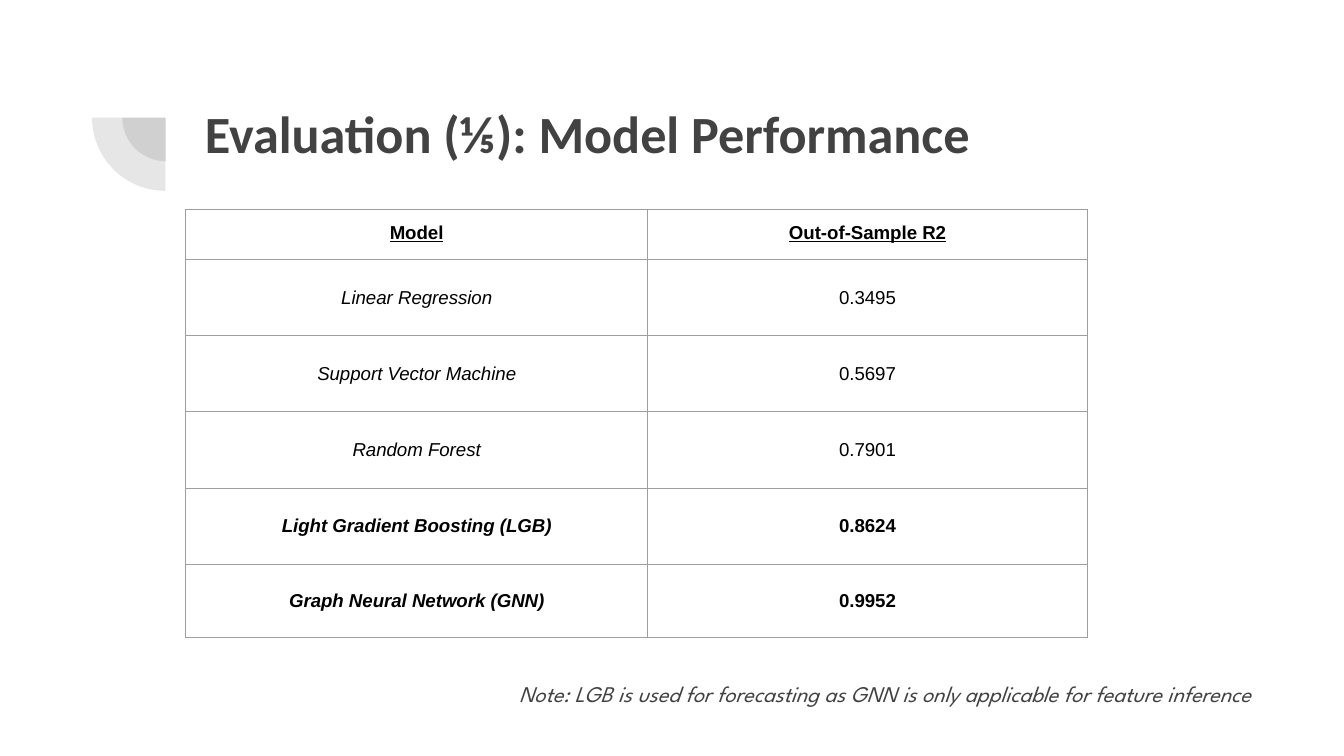
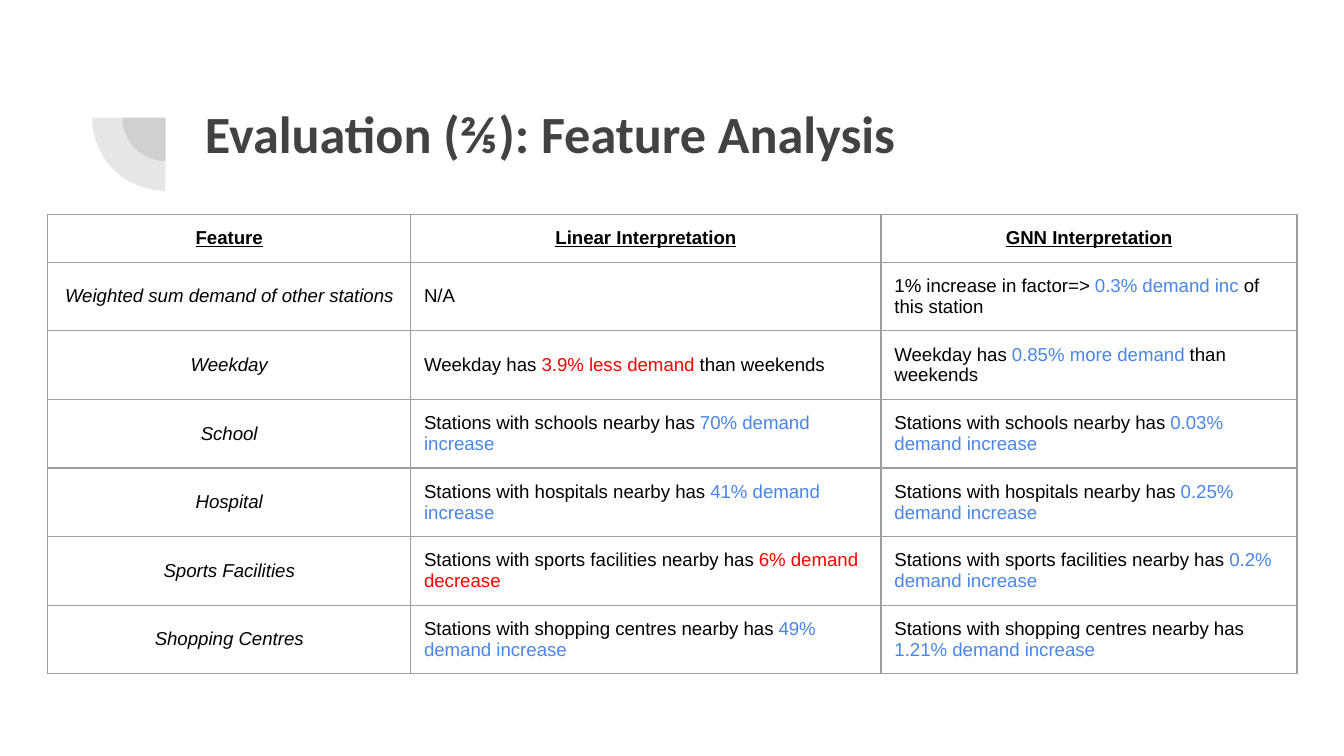
"""Build two evaluation slides: model scores and feature effects."""
from lxml.etree import SubElement
from pptx import Presentation
from pptx.dml.color import RGBColor
from pptx.enum.shapes import MSO_SHAPE as Shape
from pptx.enum.text import MSO_ANCHOR as Anchor, MSO_AUTO_SIZE as Fit, PP_ALIGN as Align
from pptx.oxml.ns import qn
from pptx.util import Emu, Pt

HUES = {"ink": "424242", "text": "000000", "rule": "9E9E9E",
        "up": "4A86E8", "down": "FF0000"}
UNIT = 4572
PAD = 20
PIES = [(182, 110, 130), (137, 66, 218)]

SCORES = {
    "title": "Evaluation (⅕): Model Performance",
    "at": (276, 312), "cols": (688, 654), "rows": (74, 114, 113, 114, 113, 109),
    "head": ("Model", "Out-of-Sample R2"), "anchor": Anchor.TOP,
    "align": Align.CENTER, "strong": (4, 5),
    "body": [
        ("Linear Regression", "0.3495"),
        ("Support Vector Machine", "0.5697"),
        ("Random Forest", "0.7901"),
        ("Light Gradient Boosting (LGB)", "0.8624"),
        ("Graph Neural Network (GNN)", "0.9952"),
    ],
}
NOTE = "Note: LGB is used for forecasting as GNN is only applicable for feature inference"

NEAR = [
    ("School", "schools", ("70% demand increase", "up"), "0.03%"),
    ("Hospital", "hospitals", ("41% demand increase", "up"), "0.25%"),
    ("Sports Facilities", "sports facilities", ("6% demand decrease", "down"), "0.2%"),
    ("Shopping Centres", "shopping centres", ("49% demand increase", "up"), "1.21%"),
]
EFFECTS = {
    "title": "Evaluation (⅖): Feature Analysis",
    "at": (71, 319), "cols": (540, 700, 619), "rows": (70,) + (102,) * 6,
    "head": ("Feature", "Linear Interpretation", "GNN Interpretation"),
    "anchor": Anchor.MIDDLE, "align": Align.LEFT, "strong": (),
    "body": [
        ("Weighted sum demand of other stations", "N/A",
         ["1% increase in factor=> ", ("0.3% demand inc ", "up"), "of this station"]),
        ("Weekday",
         ["Weekday has ", ("3.9% less demand ", "down"), "than weekends"],
         ["Weekday has ", ("0.85% more demand ", "up"), "than weekends"]),
    ] + [
        (name, [f"Stations with {places} nearby has ", linear],
         [f"Stations with {places} nearby has ", (f"{rate} demand increase", "up")])
        for name, places, linear, rate in NEAR
    ],
}


def px(*nums):
    """Turn pixels into EMU."""
    return [Emu(num * UNIT) for num in nums]


def write(frame, text, font="Arial", size=10, hue="text", align=Align.LEFT,
          bold=False, italic=False, under=False):
    """Fill a text frame with a string or a list of plain and toned parts."""
    para = frame.paragraphs[0]
    para.alignment = align
    for part in [text] if isinstance(text, str) else text:
        words, tone = (part, hue) if isinstance(part, str) else part
        run = para.add_run()
        run.text = words
        face = run.font
        face.name, face.size = font, Pt(size)
        face.bold, face.italic, face.underline = bold, italic, under
        face.color.rgb = RGBColor.from_string(HUES[tone])


def inset(box, anchor):
    """Set even margins and the anchor of a cell or text frame."""
    box.margin_left = box.margin_right = box.margin_top = box.margin_bottom = px(PAD)[0]
    box.vertical_anchor = anchor


def add_pie(slide, left, top, size):
    """Draw one translucent quarter disc."""
    pie = slide.shapes.add_shape(Shape.PIE, *px(left, top, size, size))
    pie.adjustments[0], pie.adjustments[1] = 108, 162
    pie.rotation = 270
    pie.shadow.inherit = False
    pie.line.fill.background()
    pie.fill.solid()
    pie.fill.fore_color.rgb = RGBColor.from_string(HUES["ink"])
    tint = pie.fill._xPr.find(qn("a:solidFill"))[0]
    SubElement(tint, qn("a:alpha"), val="13000")


def edge(cell):
    """Rule all four sides of a cell."""
    props = cell._tc.get_or_add_tcPr()
    for side in ("L", "R", "T", "B"):
        line = SubElement(props, qn(f"a:ln{side}"), w=str(Pt(0.75)))
        fill = SubElement(line, qn("a:solidFill"))
        SubElement(fill, qn("a:srgbClr"), val=HUES["rule"])


def add_grid(slide, data):
    """Add the ruled table of a slide."""
    cols, rows = data["cols"], data["rows"]
    table = slide.shapes.add_table(
        len(rows), len(cols), *px(*data["at"], sum(cols), sum(rows))).table
    table.first_row = table.horz_banding = False
    for col, width in zip(table.columns, px(*cols)):
        col.width = width
    for row, height in zip(table.rows, px(*rows)):
        row.height = height
    for y, line in enumerate([data["head"]] + data["body"]):
        for x, text in enumerate(line):
            cell, head = table.cell(y, x), y == 0
            edge(cell)
            cell.fill.background()
            inset(cell, data["anchor"] if head else Anchor.MIDDLE)
            write(cell.text_frame, text, under=head,
                  bold=head or y in data["strong"], italic=not head and x == 0,
                  align=Align.CENTER if head or x == 0 else data["align"])


def add_page(deck, data):
    """Add a slide with its mark, title and table."""
    slide = deck.slides.add_slide(deck.slide_layouts[5])
    for pie in PIES:
        add_pie(slide, *pie)
    title = slide.shapes.title
    slide.shapes._spTree.append(title._element)
    title.left, title.top, title.width, title.height = px(285, 130, 1538, 218)
    frame = title.text_frame
    frame.word_wrap, frame.auto_size = True, Fit.NONE
    inset(frame, Anchor.TOP)
    write(frame, data["title"], font="Calibri", size=28, hue="ink", bold=True)
    add_grid(slide, data)
    return slide


def add_note(slide, text):
    """Add the remark below the table."""
    frame = slide.shapes.add_textbox(*px(323, 980, 1560, 104)).text_frame
    frame.word_wrap = True
    inset(frame, Anchor.MIDDLE)
    write(frame, text, font="League Spartan", size=12, hue="ink",
          align=Align.RIGHT, italic=True)


def main():
    """Build and save the deck."""
    deck = Presentation()
    deck.slide_width, deck.slide_height = px(2000, 1125)
    add_note(add_page(deck, SCORES), NOTE)
    add_page(deck, EFFECTS)
    deck.save("out.pptx")


if __name__ == "__main__":
    main()
